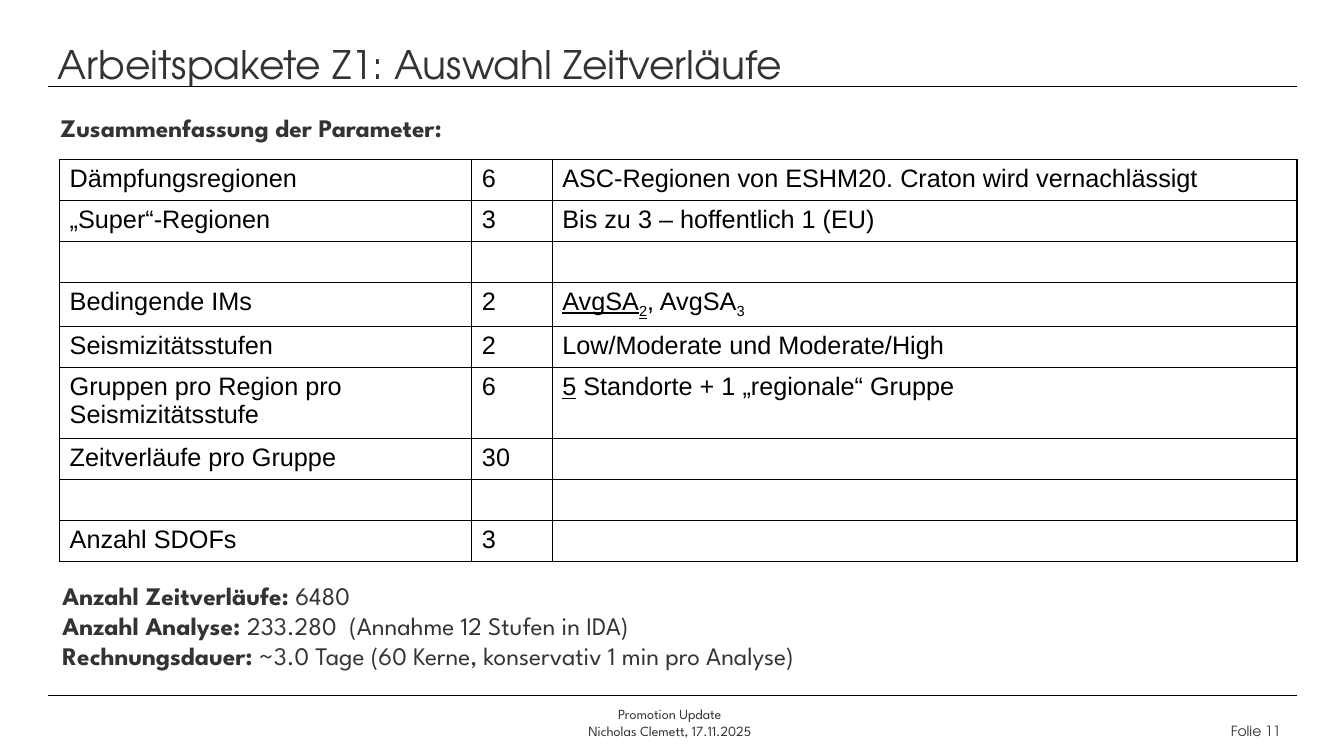
from lxml import etree
from pptx import Presentation
from pptx.dml.color import RGBColor as RGB
from pptx.enum.shapes import MSO_CONNECTOR as CONN
from pptx.enum.text import MSO_ANCHOR as ANCHOR, PP_ALIGN as ALIGN
from pptx.oxml import parse_xml
from pptx.oxml.ns import nsdecls, qn
from pptx.util import Pt

COLORS = {"text": "333333", "black": "000000"}
BODY, HEAD, CELL = "League Spartan", "TeX Gyre Adventor", "Arial"
W, H = 958.3, 538.6
LEFT, RIGHT = 34, 925

COLUMNS = [294, 57.3, 531]
ROW_HEIGHT = 29.2
U, SUB = {"underline": True}, {"baseline": -25000}
PARAMETERS = [
    ("Dämpfungsregionen", "6", [("ASC-Regionen von ESHM20. Craton wird vernachlässigt", {})]),
    ("„Super“-Regionen", "3", [("Bis zu 3 – hoffentlich 1 (EU)", {})]),
    ("", "", []),
    ("Bedingende IMs", "2",
     [("AvgSA", U), ("2", {**U, **SUB}), (", AvgSA", {}), ("3", SUB)]),
    ("Seismizitätsstufen", "2", [("Low/Moderate und Moderate/High", {})]),
    ("Gruppen pro Region pro Seismizitätsstufe", "6",
     [("5", U), (" Standorte + 1 „regionale“ Gruppe", {})]),
    ("Zeitverläufe pro Gruppe", "30", []),
    ("", "", []),
    ("Anzahl SDOFs", "3", []),
]
RESULTS = [
    ("Anzahl Zeitverläufe:", " 6480"),
    ("Anzahl Analyse: ", "233.280  (Annahme 12 Stufen in IDA)"),
    ("Rechnungsdauer:", " ~3.0 Tage (60 Kerne, konservativ 1 min pro Analyse)"),
]


def add_run(p, text, font=BODY, size=18, color="text", bold=False,
            underline=False, baseline=None):
    r = p.add_run()
    r.text = text
    r.font.name, r.font.size = font, Pt(size)
    r.font.bold, r.font.underline = bold, underline
    r.font.color.rgb = RGB.from_string(COLORS[color])
    if baseline:
        r._r.get_or_add_rPr().set("baseline", str(baseline))


def add_text(s, box, lines, align=ALIGN.LEFT, anchor=ANCHOR.TOP, **fmt):
    """Place a text box; each line is a list of (text, format) runs."""
    tf = s.shapes.add_textbox(*map(Pt, box)).text_frame
    tf.word_wrap, tf.vertical_anchor = True, anchor
    for i, runs in enumerate(lines):
        p = tf.add_paragraph() if i else tf.paragraphs[0]
        p.alignment = align
        for text, extra in runs:
            add_run(p, text, **{**fmt, **extra})


def add_rule(s, y):
    line = s.shapes.add_connector(CONN.STRAIGHT, Pt(LEFT), Pt(y), Pt(RIGHT), Pt(y))
    line.line.color.rgb = RGB.from_string(COLORS["black"])
    line.line.width = Pt(0.75)
    etree.SubElement(line._element.spPr, qn("a:effectLst"))


def add_borders(cell):
    tcPr = cell._tc.get_or_add_tcPr()
    for side in "LRTB":
        tcPr.append(parse_xml(
            f'<a:ln{side} {nsdecls("a")} w="12700"><a:solidFill>'
            f'<a:srgbClr val="{COLORS["black"]}"/></a:solidFill></a:ln{side}>'))


def add_header(s, x, y, w, h):
    add_text(s, (x, y, w, h), [[("Arbeitspakete Z1: Auswahl Zeitverläufe", {})]],
             anchor=ANCHOR.MIDDLE, font=HEAD, size=28)
    add_rule(s, y + 39)


def add_parameter_table(s, x, y):
    height = ROW_HEIGHT * len(PARAMETERS)
    table = s.shapes.add_table(len(PARAMETERS), len(COLUMNS), Pt(x), Pt(y),
                               Pt(sum(COLUMNS)), Pt(height)).table
    table.first_row = table.horz_banding = False
    for column, width in zip(table.columns, COLUMNS):
        column.width = Pt(width)
    for row, (name, count, note) in zip(table.rows, PARAMETERS):
        row.height = Pt(ROW_HEIGHT)
        for cell, runs in zip(row.cells, ([(name, {})], [(count, {})], note)):
            add_borders(cell)
            cell.fill.background()
            p = cell.text_frame.paragraphs[0]
            p.font.size = Pt(18)
            for text, extra in runs:
                if text:
                    add_run(p, text, font=CELL, color="black", **extra)


def add_body(s, x, y, w):
    add_text(s, (x, y, w, 29), [[("Zusammenfassung der Parameter:", {"bold": True})]])
    add_parameter_table(s, x + 6.5, y + 37.5)
    add_text(s, (x + 1.4, y + 334, w, 73),
             [[(label, {"bold": True}), (value, {})] for label, value in RESULTS])


def add_footer(s, y):
    add_rule(s, y)
    add_text(s, (337, y + 3.7, 281, 32),
             [[("Promotion Update", {})], [("Nicholas Clemett, 17.11.2025", {})]],
             align=ALIGN.CENTER, size=10)
    add_text(s, (870.5, y + 16, 63, 19.5), [[("Folie 11", {})]], font=HEAD, size=10)


def main():
    prs = Presentation()
    prs.slide_width, prs.slide_height = Pt(W), Pt(H)
    s = prs.slides.add_slide(prs.slide_layouts[6])
    add_header(s, LEFT, 23, RIGHT - LEFT, 45.4)
    add_body(s, 36, 76.3, 636)
    add_footer(s, 496)
    prs.save("out.pptx")


if __name__ == "__main__":
    main()
